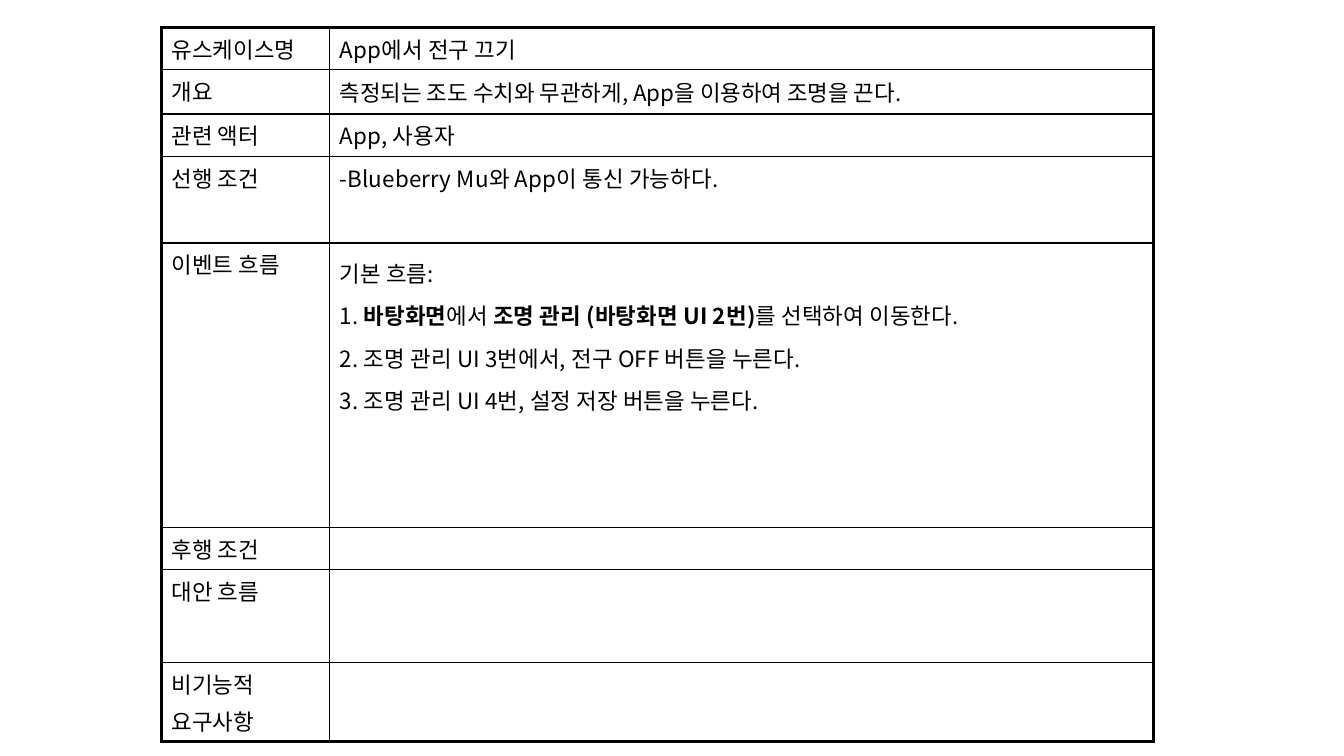
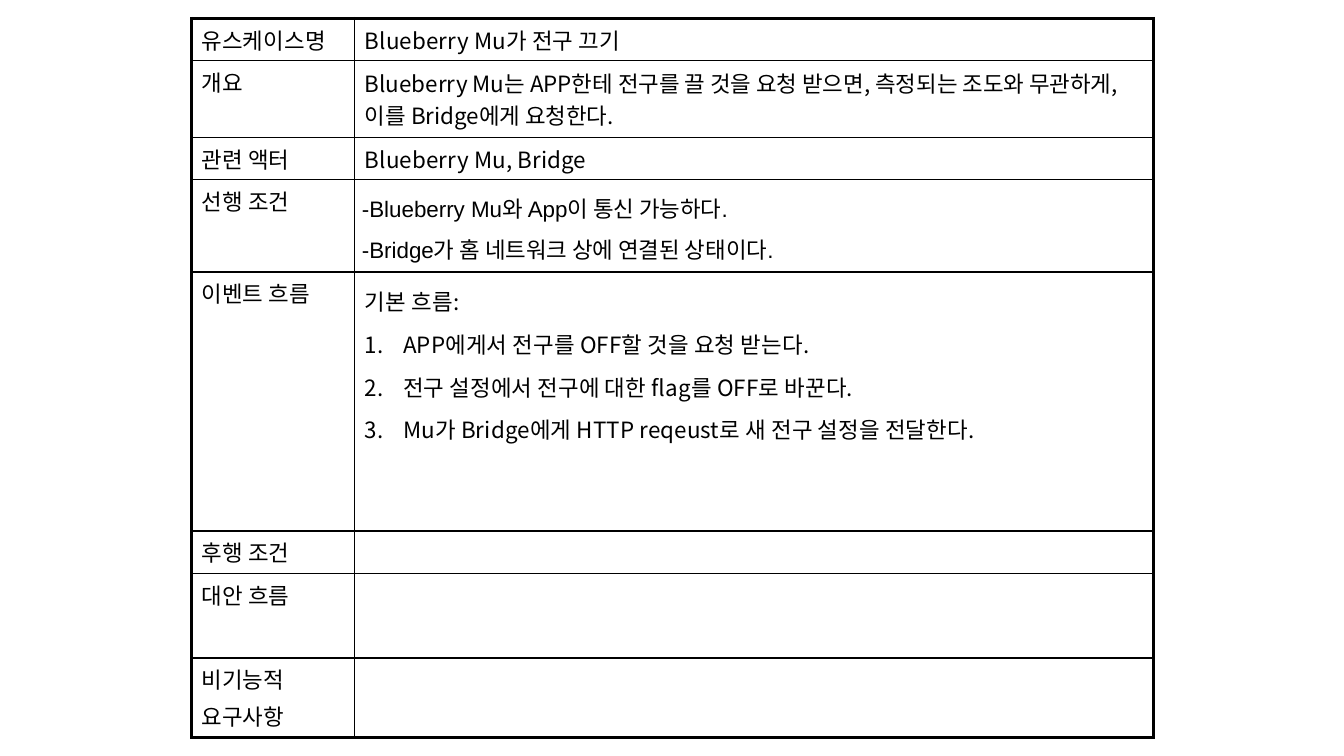
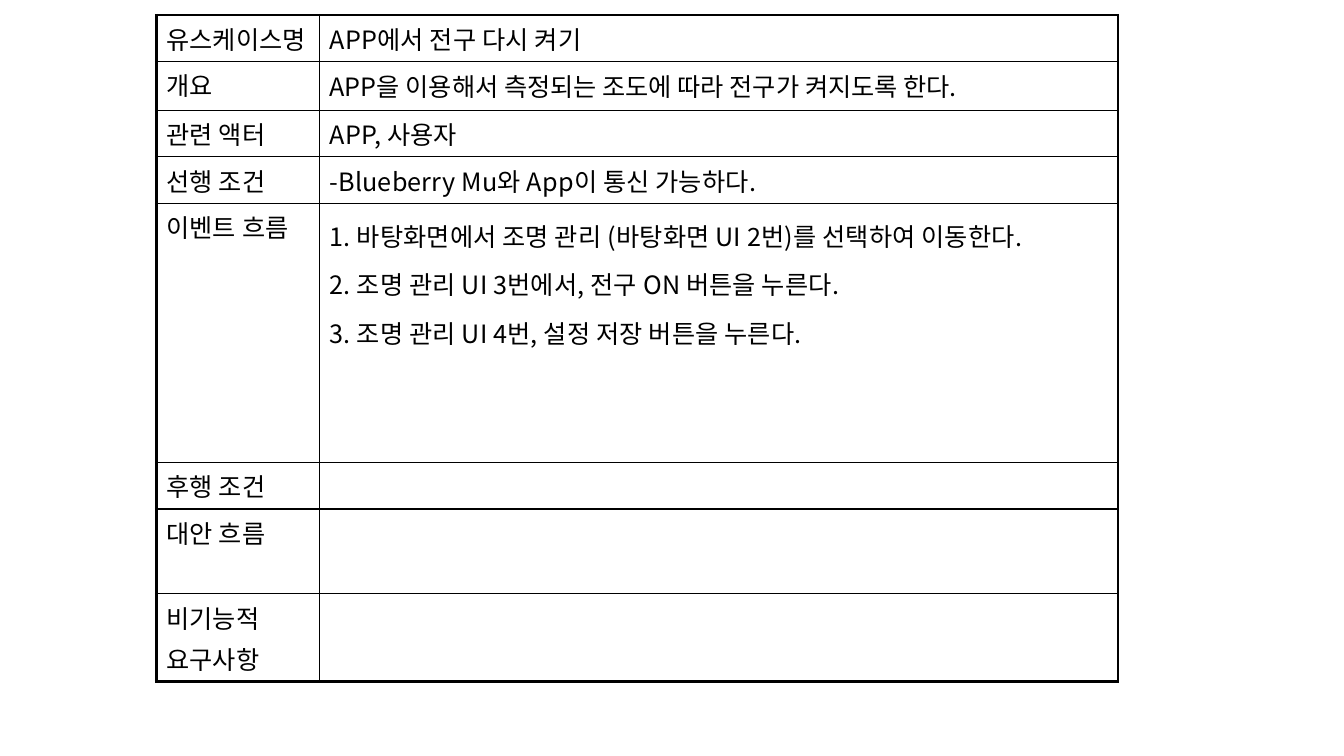
from dataclasses import dataclass, field

from lxml.etree import SubElement
from pptx import Presentation
from pptx.dml.color import RGBColor
from pptx.enum.text import PP_ALIGN as Align
from pptx.oxml.ns import qn
from pptx.util import Inches, Pt

BLACK = RGBColor(0x00, 0x00, 0x00)
FONT = "Noto Sans CJK KR"
OUTER_LINE, INNER_LINE = 2.25, 1
LABELS = ("유스케이스명", "개요", "관련 액터", "선행 조건", "이벤트 흐름",
          "후행 조건", "대안 흐름", "비기능적\n요구사항")


@dataclass
class Content:
    text: str = ""
    margins: tuple[float, float] = (0.1, 0.05)
    style: dict = field(default_factory=dict)


@dataclass
class UseCase:
    left: float
    top: float
    columns: tuple[float, float]
    rows: tuple[float, ...]
    size: int
    contents: tuple[Content, ...]


def overview(text: str) -> Content:
    return Content(text, (0.1, 0.06), {"before": 12, "after": 12, "tracking": 0})


def event_flow(text: str, numbered: bool = False) -> Content:
    return Content(text, style={"before_ratio": 0.1, "line_spacing": 1.25,
                                "align": Align.JUSTIFY, "numbered": numbered})


def add_text(text_frame, text: str, *, size: int, font: str = FONT,
             before_ratio: float = 0.2, before: float | None = None,
             after: float = 0, line_spacing: float | None = None,
             align: Align = Align.LEFT, tracking: float = 0.1,
             numbered: bool = False) -> None:
    for index, line in enumerate(text.split("\n")):
        paragraph = text_frame.add_paragraph() if index else text_frame.paragraphs[0]
        paragraph.alignment = align
        paragraph.space_before = Pt(size * before_ratio if before is None else before)
        paragraph.space_after = Pt(after)
        if line_spacing:
            paragraph.line_spacing = line_spacing
        if numbered and index:
            properties = paragraph._p.get_or_add_pPr()
            properties.set("marL", str(Inches(0.38)))
            properties.set("indent", str(-Inches(0.38)))
            SubElement(properties, qn("a:buAutoNum"), type="arabicPeriod")
        if not line:
            SubElement(paragraph._p, qn("a:endParaRPr"), sz=str(size * 100))
            continue
        for position, part in enumerate(line.split("**")):
            if part:
                run = paragraph.add_run()
                run.text = part
                run.font.size = Pt(size)
                run.font.bold = position % 2 == 1
                run.font.color.rgb = BLACK
                run.font.name = font
                properties = run._r.get_or_add_rPr()
                properties.set("spc", str(round(tracking * 100)))
                SubElement(properties, qn("a:ea"), typeface=FONT)


def add_borders(cell, widths: dict[str, float]) -> None:
    properties = cell._tc.get_or_add_tcPr()
    for side, width in widths.items():
        line = SubElement(properties, qn(f"a:ln{side}"), w=str(Pt(width)))
        fill = SubElement(line, qn("a:solidFill"))
        SubElement(fill, qn("a:srgbClr"), val=str(BLACK))


def add_use_case(presentation, use_case: UseCase) -> None:
    slide = presentation.slides.add_slide(presentation.slide_layouts[6])
    table = slide.shapes.add_table(
        len(LABELS), 2, Inches(use_case.left), Inches(use_case.top),
        Inches(sum(use_case.columns)), Inches(sum(use_case.rows))).table
    table.first_row = table.horz_banding = False
    for column, width in zip(table.columns, use_case.columns):
        column.width = Inches(width)
    last_row = len(LABELS) - 1
    for row_index, (label, content) in enumerate(zip(LABELS, use_case.contents)):
        table.rows[row_index].height = Inches(use_case.rows[row_index])
        for column_index, item in enumerate((Content(label), content)):
            cell = table.cell(row_index, column_index)
            horizontal, vertical = item.margins
            cell.margin_left = cell.margin_right = Inches(horizontal)
            cell.margin_top = cell.margin_bottom = Inches(vertical)
            outside = {"L": column_index == 0, "R": column_index == 1,
                       "T": row_index == 0, "B": row_index == last_row}
            add_borders(cell, {side: OUTER_LINE if outer else INNER_LINE
                               for side, outer in outside.items()})
            cell.fill.background()
            add_text(cell.text_frame, item.text, size=use_case.size, **item.style)


EMPTY_ROWS = (Content(),) * 3
NARROW_COLUMNS = (1.62, 7.92)
SHORT_ROWS = (0.32, 0.32, 0.32, 0.32, 2.57, 0.32, 0.84, 0.59)

USE_CASES = (
    UseCase(1.6, 0.27, (1.67, 8.17), (0.35, 0.35, 0.35, 0.86, 2.82, 0.35, 0.92, 0.65), 16, (
        Content("App에서 전구 끄기"),
        overview("측정되는 조도 수치와 무관하게, App을 이용하여 조명을 끈다."),
        Content("App, 사용자"),
        Content("-Blueberry Mu와 App이 통신 가능하다."),
        event_flow("기본 흐름:\n"
                   "1. **바탕화면**에서 **조명 관리 (바탕화면 UI 2번)**를 선택하여 이동한다.\n"
                   "2. 조명 관리 UI 3번에서, 전구 OFF 버튼을 누른다.\n"
                   "3. 조명 관리 UI 4번, 설정 저장 버튼을 누른다."),
        *EMPTY_ROWS)),
    UseCase(1.9, 0.18, NARROW_COLUMNS, SHORT_ROWS, 16, (
        Content("Blueberry Mu가 전구 끄기"),
        overview("Blueberry Mu는 APP한테 전구를 끌 것을 요청 받으면, "
                 "측정되는 조도와 무관하게, 이를 Bridge에게 요청한다."),
        Content("Blueberry Mu, Bridge"),
        Content("-Blueberry Mu와 App이 통신 가능하다.\n"
                "-Bridge가 홈 네트워크 상에 연결된 상태이다.", (0.07, 0.07),
                {"font": "Arial", "before": 3, "line_spacing": 1.15, "tracking": 0}),
        event_flow("기본 흐름:\n"
                   "APP에게서 전구를 OFF할 것을 요청 받는다.\n"
                   "전구 설정에서 전구에 대한 flag를 OFF로 바꾼다.\n"
                   "Mu가 Bridge에게 HTTP reqeust로 새 전구 설정을 전달한다.", numbered=True),
        *EMPTY_ROWS)),
    UseCase(1.55, 0.15, NARROW_COLUMNS, SHORT_ROWS, 18, (
        Content("APP에서 전구 다시 켜기"),
        overview("APP을 이용해서 측정되는 조도에 따라 전구가 켜지도록 한다."),
        Content("APP, 사용자"),
        Content("-Blueberry Mu와 App이 통신 가능하다."),
        event_flow("1. 바탕화면에서 조명 관리 (바탕화면 UI 2번)를 선택하여 이동한다.\n"
                   "2. 조명 관리 UI 3번에서, 전구 ON 버튼을 누른다.\n"
                   "3. 조명 관리 UI 4번, 설정 저장 버튼을 누른다."),
        *EMPTY_ROWS)),
)


def main() -> None:
    presentation = Presentation()
    presentation.slide_width = Inches(13.33)
    presentation.slide_height = Inches(7.5)
    for use_case in USE_CASES:
        add_use_case(presentation, use_case)
    presentation.save("out.pptx")


if __name__ == "__main__":
    main()
